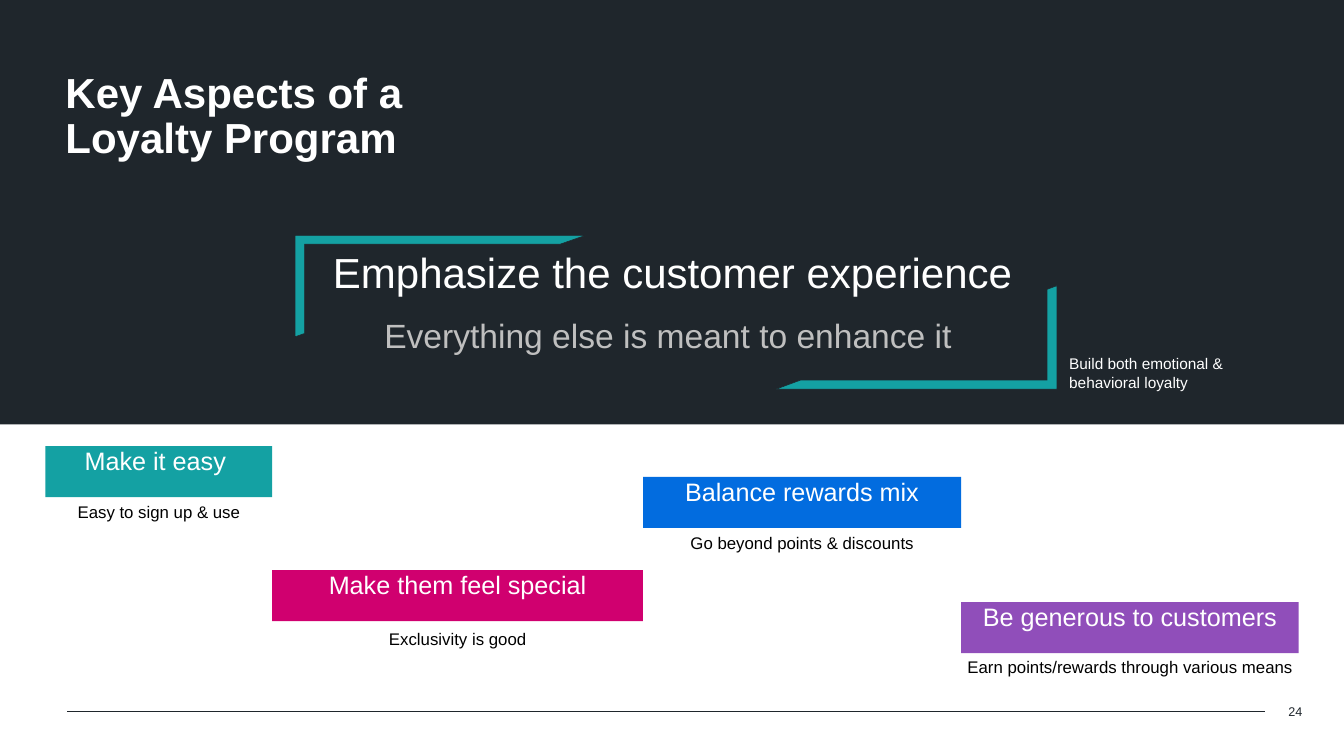
from lxml.etree import SubElement
from pptx import Presentation
from pptx.dml.color import RGBColor
from pptx.enum.shapes import MSO_CONNECTOR, MSO_SHAPE
from pptx.enum.text import MSO_ANCHOR, PP_ALIGN
from pptx.oxml.ns import qn
from pptx.util import Cm, Pt

FONT = "Arial"
DARK, TEAL, WHITE, GREY, BLACK = "1F262C", "14A1A3", "FFFFFF", "BFBFBF", "000000"

TITLE = "Key Aspects of a Loyalty Program"
HEADLINE = "Emphasize the customer experience"
SUBLINE = "Everything else is meant to enhance it "
SIDE_NOTE = ["Build both emotional &", "behavioral loyalty"]
PAGE_NUMBER = "24"

# heading, colour, card width, card top, caption, caption width, caption top (cm)
CARDS = [
    ("Make it easy ", TEAL, 11.43, 22.48, "Easy to sign up & use", 10.85, 25.04),
    ("Make them feel special", "D0006F", 18.69, 28.73, "Exclusivity is good", 10.85, 31.42),
    ("Balance rewards mix", "026CDF", 16.03, 24.03, "Go beyond points & discounts", 12.01, 26.59),
    ("Be generous to customers", "904EBA", 17.02, 30.35,
     "Earn points/rewards through various means", 18.36, 32.84),
]
CARDS_LEFT, CARD_H, CAPTION_H = 2.29, 2.57, 1.42

# left, top, width, height, rotation (cm, degrees)
FRAMES = [(14.88, 11.86, 14.63, 5.11, 0), (39.12, 14.4, 14.15, 5.21, 180)]

prs = Presentation()
prs.slide_width, prs.slide_height = Cm(67.74), Cm(38.1)
s = prs.slides.add_slide(prs.slide_layouts[6])


def rgb(color):
    return RGBColor.from_string(color)


def write(sp, text, size=24, color=BLACK, bold=False, align=PP_ALIGN.CENTER,
          anchor=MSO_ANCHOR.TOP, spacing=None, inset=0.13):
    """Fill a shape with one paragraph, or one per item of a list."""
    tf = sp.text_frame
    tf.word_wrap = True
    tf.vertical_anchor = anchor
    tf.margin_left = tf.margin_right = Cm(0.25)
    tf.margin_top = tf.margin_bottom = Cm(inset)
    for i, line in enumerate([text] if isinstance(text, str) else text):
        p = tf.add_paragraph() if i else tf.paragraphs[0]
        p.alignment = align
        if spacing:
            p.line_spacing = spacing
        r = p.add_run()
        r.text = line
        r.font.name, r.font.size, r.font.bold = FONT, Pt(size), bold
        r.font.color.rgb = rgb(color)


def add_text(box, text, **fmt):
    write(s.shapes.add_textbox(*map(Cm, box)), text, **fmt)


def add_shape(kind, box, fill, line=None):
    sp = s.shapes.add_shape(kind, *map(Cm, box))
    sp.shadow.inherit = False
    sp.fill.solid()
    sp.fill.fore_color.rgb = rgb(fill)
    if line:
        sp.line.color.rgb = rgb(line)
        sp.line.width = Pt(0.75)
    else:
        sp.line.fill.background()
    return sp


# Backdrop, footer and title
rule = s.shapes.add_connector(MSO_CONNECTOR.STRAIGHT, Cm(3.4), Cm(35.84), Cm(63.78), Cm(35.84))
rule.line.color.rgb = rgb(DARK)
rule.line.width = Pt(1)
SubElement(rule._element.spPr, qn("a:effectLst"))
add_shape(MSO_SHAPE.RECTANGLE, (0, 0, 67.74, 21.39), DARK)
add_text((3.05, 3.51, 22.45, 10.57), TITLE, size=60, color=WHITE, bold=True,
         align=PP_ALIGN.LEFT, spacing=0.9)
add_text((63.75, 34.29, 3.07, 3.1), PAGE_NUMBER, size=18, color=DARK, anchor=MSO_ANCHOR.MIDDLE)

# Framed main message
add_text((53.64, 17.73, 14.15, 1.88), SIDE_NOTE, size=22, color=WHITE, align=PP_ALIGN.LEFT)
add_text((15.88, 12.6, 36.04, 4.42), HEADLINE, size=60, color=WHITE, spacing=0.9)
add_text((18.82, 15.6, 30.18, 3.71), SUBLINE, size=48, color=GREY, inset=0.25)
for *box, rotation in FRAMES:
    frame = add_shape(MSO_SHAPE.HALF_FRAME, box, TEAL, line=DARK)
    frame.adjustments[0], frame.adjustments[1] = 0.086, 0.094
    frame.rotation = rotation

# Cards side by side, each with a caption centred below it
left = CARDS_LEFT
for heading, color, width, top, caption, caption_w, caption_top in CARDS:
    card = add_shape(MSO_SHAPE.RECTANGLE, (left, top, width, CARD_H), color)
    write(card, heading, size=36, color=WHITE, spacing=0.9)
    caption_left = left + (width - caption_w) / 2
    add_text((caption_left, caption_top, caption_w, CAPTION_H), caption, inset=0.25)
    left += width

prs.save("out.pptx")
